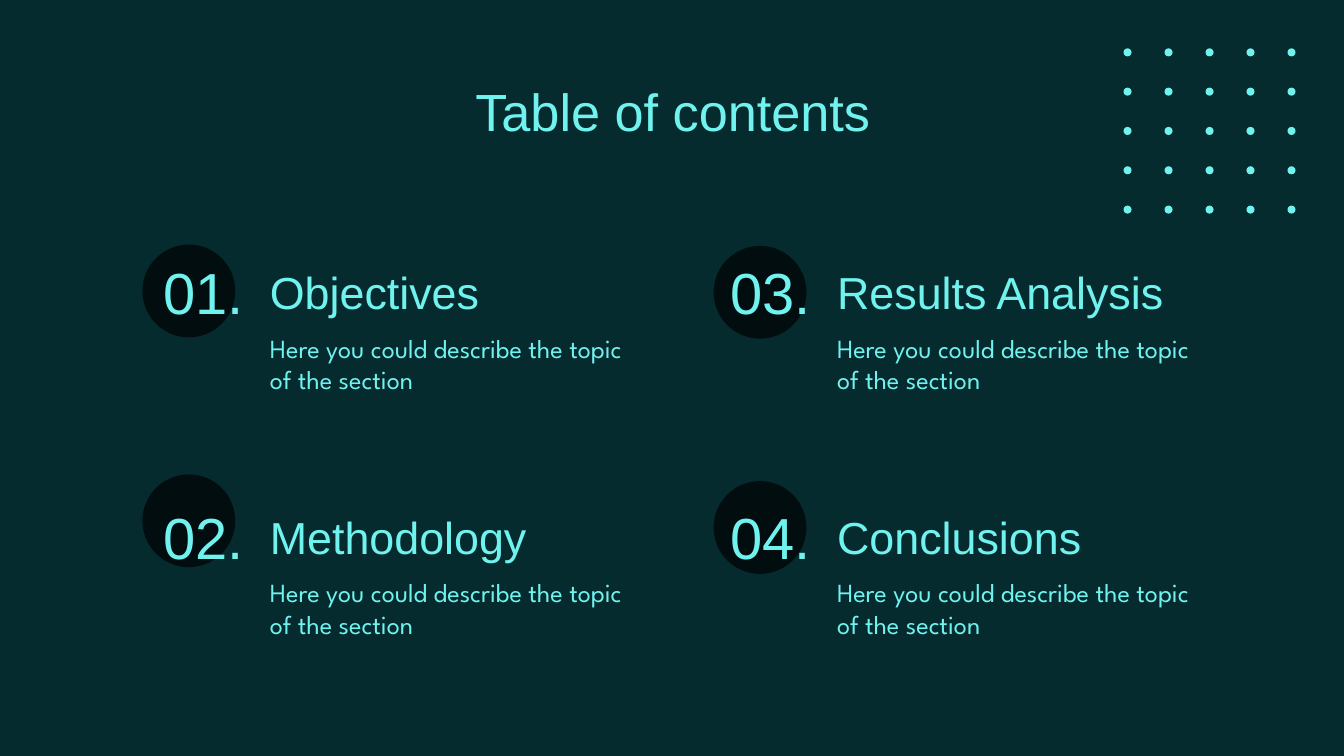
from itertools import product

from pptx import Presentation
from pptx.dml.color import RGBColor
from pptx.enum.shapes import MSO_SHAPE
from pptx.enum.text import MSO_ANCHOR, PP_ALIGN
from pptx.util import Inches, Pt

OVAL = MSO_SHAPE.OVAL
TOP, MIDDLE = MSO_ANCHOR.TOP, MSO_ANCHOR.MIDDLE
LEFT, CENTER, RIGHT = PP_ALIGN.LEFT, PP_ALIGN.CENTER, PP_ALIGN.RIGHT

BACKGROUND = RGBColor(0x06, 0x2B, 0x2F)
DISC = RGBColor(0x01, 0x0D, 0x0F)
AQUA = RGBColor(0x70, 0xF3, 0xEF)

HEADING_FONT, BODY_FONT = "Arial", "League Spartan"
TITLE_ONLY = 5

COLUMNS = (1.91, 6.13)
ROWS = (1.89, 3.71)
DESCRIPTION = "Here you could describe the topic of the section"
SECTIONS = (
    ("Objectives", 0, 0, (1.06, 1.82)),
    ("Methodology", 0, 1, (1.06, 3.53)),
    ("Results Analysis", 1, 0, (5.31, 1.83)),
    ("Conclusions", 1, 1, (5.31, 3.58)),
)


def add_circle(slide, left, top, diameter, color):
    """Add a plain filled circle."""
    size = Inches(diameter)
    shape = slide.shapes.add_shape(OVAL, Inches(left), Inches(top), size, size)
    shape.shadow.inherit = False
    shape.fill.solid()
    shape.fill.fore_color.rgb = color
    shape.line.fill.background()


def add_dot_grid(slide, count=5):
    """Add the square grid of dots in the top right corner."""
    width, height = 1.22, 1.17
    for column, row in product(range(count), repeat=2):
        left = 8.36 + width * column / (count - 1)
        top = 0.36 + height * row / (count - 1)
        add_circle(slide, left, top, 0.06, AQUA)


def write_text(shape, text, size, font=HEADING_FONT, align=LEFT, anchor=MIDDLE):
    """Fill a shape with one formatted paragraph."""
    frame = shape.text_frame
    frame.word_wrap = True
    frame.vertical_anchor = anchor
    frame.margin_left = frame.margin_right = Inches(0.1)
    frame.margin_top = frame.margin_bottom = Inches(0.1)
    paragraph = frame.paragraphs[0]
    paragraph.alignment = align
    run = paragraph.add_run()
    run.text = text
    run.font.name = font
    run.font.size = Pt(size)
    run.font.color.rgb = AQUA


def add_label(slide, box, text, size, **style):
    """Add a text box at the given left, top, width and height."""
    shape = slide.shapes.add_textbox(*map(Inches, box))
    write_text(shape, text, size, **style)


def add_section(slide, number, heading, column, row):
    """Add the number, heading and description of one section."""
    left, top = COLUMNS[column], ROWS[row]
    add_label(slide, (left, top, 2.98, 0.56), heading, 24)
    add_label(slide, (left - 1.04, top, 1.04, 0.56), f"{number:02}.", 31, align=RIGHT)
    add_label(slide, (left, top + 0.56, 2.98, 0.51), DESCRIPTION, 14, font=BODY_FONT)


def set_title(slide, text):
    """Place and format the slide title."""
    title = slide.shapes.title
    title.left, title.top = Inches(0.79), Inches(0.49)
    title.width, title.height = Inches(8.43), Inches(0.63)
    write_text(title, text, 28, align=CENTER, anchor=TOP)


def main():
    """Build and save the table of contents slide."""
    presentation = Presentation()
    presentation.slide_width = Inches(10)
    presentation.slide_height = presentation.slide_width * 9 // 16
    slide = presentation.slides.add_slide(presentation.slide_layouts[TITLE_ONLY])
    slide.background.fill.solid()
    slide.background.fill.fore_color.rgb = BACKGROUND

    set_title(slide, "Table of contents")
    add_dot_grid(slide)
    for number, (heading, column, row, disc) in enumerate(SECTIONS, start=1):
        add_circle(slide, *disc, 0.69, DISC)
        add_section(slide, number, heading, column, row)
    presentation.save("out.pptx")


if __name__ == "__main__":
    main()
